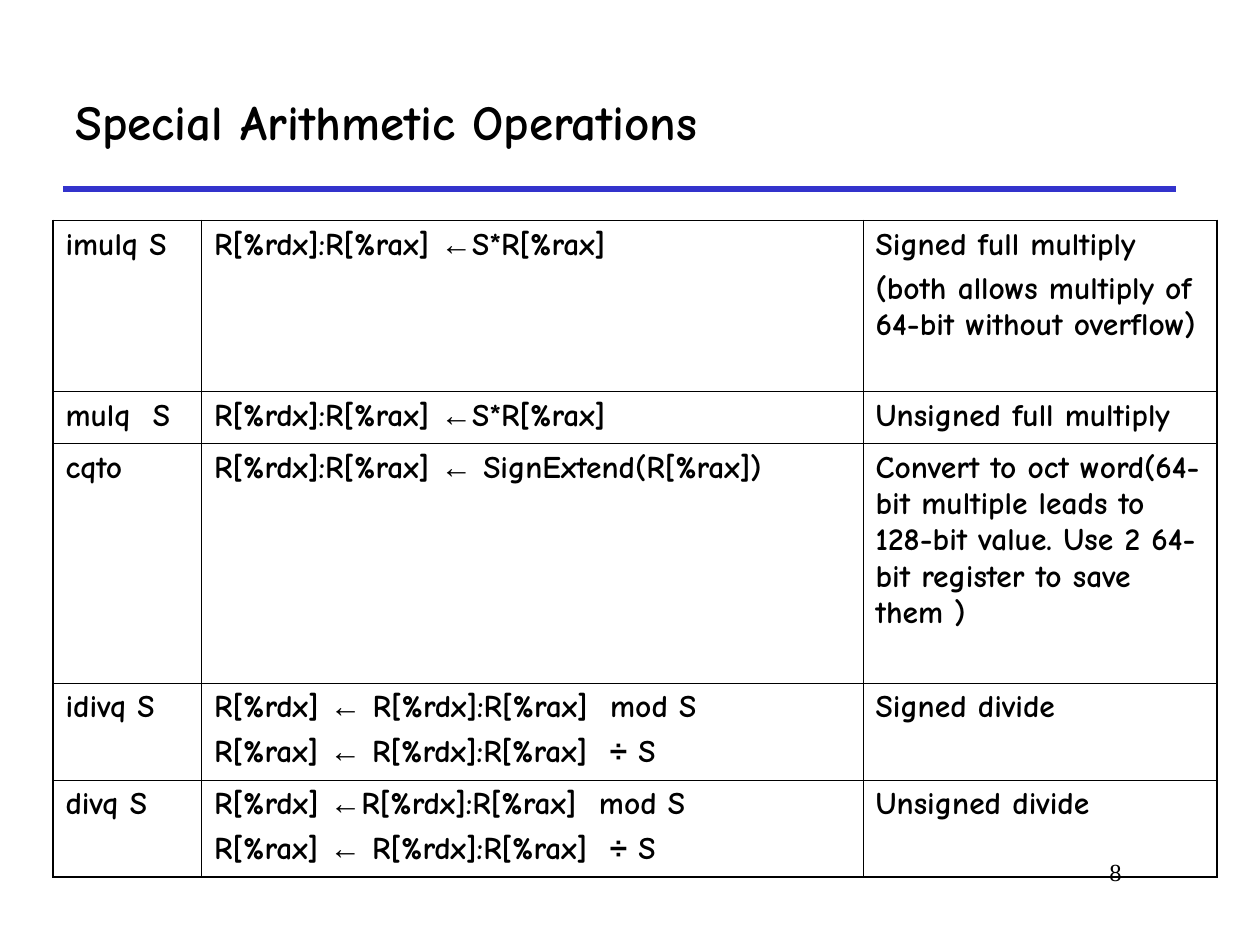
from itertools import groupby

from lxml import etree
from pptx import Presentation
from pptx.dml.color import RGBColor
from pptx.enum.shapes import MSO_CONNECTOR
from pptx.enum.text import MSO_ANCHOR, MSO_AUTO_SIZE, PP_ALIGN
from pptx.oxml.ns import qn
from pptx.util import Inches, Pt

STRAIGHT = MSO_CONNECTOR.STRAIGHT
MIDDLE = MSO_ANCHOR.MIDDLE
NO_AUTOFIT = MSO_AUTO_SIZE.NONE
LEFT, RIGHT = PP_ALIGN.LEFT, PP_ALIGN.RIGHT

BLACK = RGBColor(0x00, 0x00, 0x00)
BLUE = RGBColor(0x33, 0x33, 0xCC)

TITLE_FORMAT = {"name": "Comic Neue", "size": Pt(28), "bold": True}
CELL_FORMAT = {"name": "Comic Neue", "size": Pt(18), "bold": True}
SYMBOL_FORMAT = {**CELL_FORMAT, "name": "Arial"}
NUMBER_FORMAT = {"name": "Times New Roman", "size": Pt(14), "bold": False}

SYMBOLS = "←÷"
OUTER_WIDTH, INNER_WIDTH = Pt(1.08), Pt(0.45)
COLUMN_WIDTHS = (1.18, 5.25, 2.81)
ROW_HEIGHTS = (1.36, 0.41, 1.9, 0.77, 0.77)

OPERATIONS = (
    (
        ["imulq S"],
        ["R[%rdx]:R[%rax] ←S*R[%rax]"],
        ["Signed full multiply", "(both allows multiply of 64-bit without overflow)"],
    ),
    (
        ["mulq  S"],
        ["R[%rdx]:R[%rax] ←S*R[%rax]"],
        ["Unsigned full multiply"],
    ),
    (
        ["cqto"],
        ["R[%rdx]:R[%rax] ← SignExtend(R[%rax])"],
        ["Convert to oct word(64-bit multiple leads to 128-bit value. "
         "Use 2 64-bit register to save them )"],
    ),
    (
        ["idivq S"],
        ["R[%rdx] ← R[%rdx]:R[%rax]  mod S", "R[%rax] ← R[%rdx]:R[%rax]  ÷ S"],
        ["Signed divide"],
    ),
    (
        ["divq S"],
        ["R[%rdx] ←R[%rdx]:R[%rax]  mod S", "R[%rax] ← R[%rdx]:R[%rax]  ÷ S"],
        ["Unsigned divide"],
    ),
)


def add_run(paragraph, text, font_format):
    run = paragraph.add_run()
    run.text = text
    for attribute, value in font_format.items():
        setattr(run.font, attribute, value)
    run.font.color.rgb = BLACK


def place(shape, left, top, width, height):
    shape.left, shape.top = Inches(left), Inches(top)
    shape.width, shape.height = Inches(width), Inches(height)


def add_rule(slide):
    rule = slide.shapes.add_connector(
        STRAIGHT, Inches(0.5), Inches(1.5), Inches(9.33), Inches(1.5)
    )
    rule.line.color.rgb = BLUE
    rule.line.width = Pt(3)
    etree.SubElement(rule._element.spPr, qn("a:effectLst"))


def add_page_number(slide):
    box = slide.shapes.add_textbox(Inches(7.58), Inches(6.75), Inches(1.42), Inches(0.5))
    box.text_frame.word_wrap = True
    paragraph = box.text_frame.paragraphs[0]
    paragraph.alignment = RIGHT
    add_run(paragraph, "8", NUMBER_FORMAT)


def fill_title(slide):
    title = slide.shapes.title
    place(title, 0.5, 0.46, 8.83, 1)
    frame = title.text_frame
    frame.auto_size = NO_AUTOFIT
    frame.vertical_anchor = MIDDLE
    paragraph = frame.paragraphs[0]
    paragraph.alignment = LEFT
    add_run(paragraph, "Special Arithmetic Operations", TITLE_FORMAT)


def set_borders(cell, outer_sides):
    properties = cell._tc.get_or_add_tcPr()
    for index, side in enumerate(("lnL", "lnR", "lnT", "lnB")):
        width = OUTER_WIDTH if side in outer_sides else INNER_WIDTH
        line = etree.Element(qn(f"a:{side}"), w=str(int(width)))
        fill = etree.SubElement(line, qn("a:solidFill"))
        etree.SubElement(fill, qn("a:srgbClr"), val=str(BLACK))
        properties.insert(index, line)


def fill_cell(cell, lines):
    cell.fill.background()
    frame = cell.text_frame
    for index, text in enumerate(lines):
        paragraph = frame.add_paragraph() if index else frame.paragraphs[0]
        paragraph.space_before = Pt(4.5)
        for is_symbol, characters in groupby(text, key=lambda letter: letter in SYMBOLS):
            font_format = SYMBOL_FORMAT if is_symbol else CELL_FORMAT
            add_run(paragraph, "".join(characters), font_format)


def add_operations_table(slide):
    last_row, last_column = len(ROW_HEIGHTS) - 1, len(COLUMN_WIDTHS) - 1
    table = slide.shapes.add_table(
        len(ROW_HEIGHTS), len(COLUMN_WIDTHS), Inches(0.42), Inches(1.75),
        Inches(sum(COLUMN_WIDTHS)), Inches(sum(ROW_HEIGHTS)),
    ).table
    table.first_row = table.horz_banding = False
    for column, width in zip(table.columns, COLUMN_WIDTHS):
        column.width = Inches(width)
    for row_index, (height, operation) in enumerate(zip(ROW_HEIGHTS, OPERATIONS)):
        table.rows[row_index].height = Inches(height)
        for column_index, lines in enumerate(operation):
            cell = table.cell(row_index, column_index)
            fill_cell(cell, lines)
            edges = {
                "lnL": column_index == 0,
                "lnR": column_index == last_column,
                "lnT": row_index == 0,
                "lnB": row_index == last_row,
            }
            set_borders(cell, [side for side, is_outer in edges.items() if is_outer])


def main():
    presentation = Presentation()
    presentation.slide_width, presentation.slide_height = Inches(10), Inches(7.5)
    slide = presentation.slides.add_slide(presentation.slide_layouts[5])
    add_rule(slide)
    add_page_number(slide)
    fill_title(slide)
    add_operations_table(slide)
    presentation.save("out.pptx")


if __name__ == "__main__":
    main()
